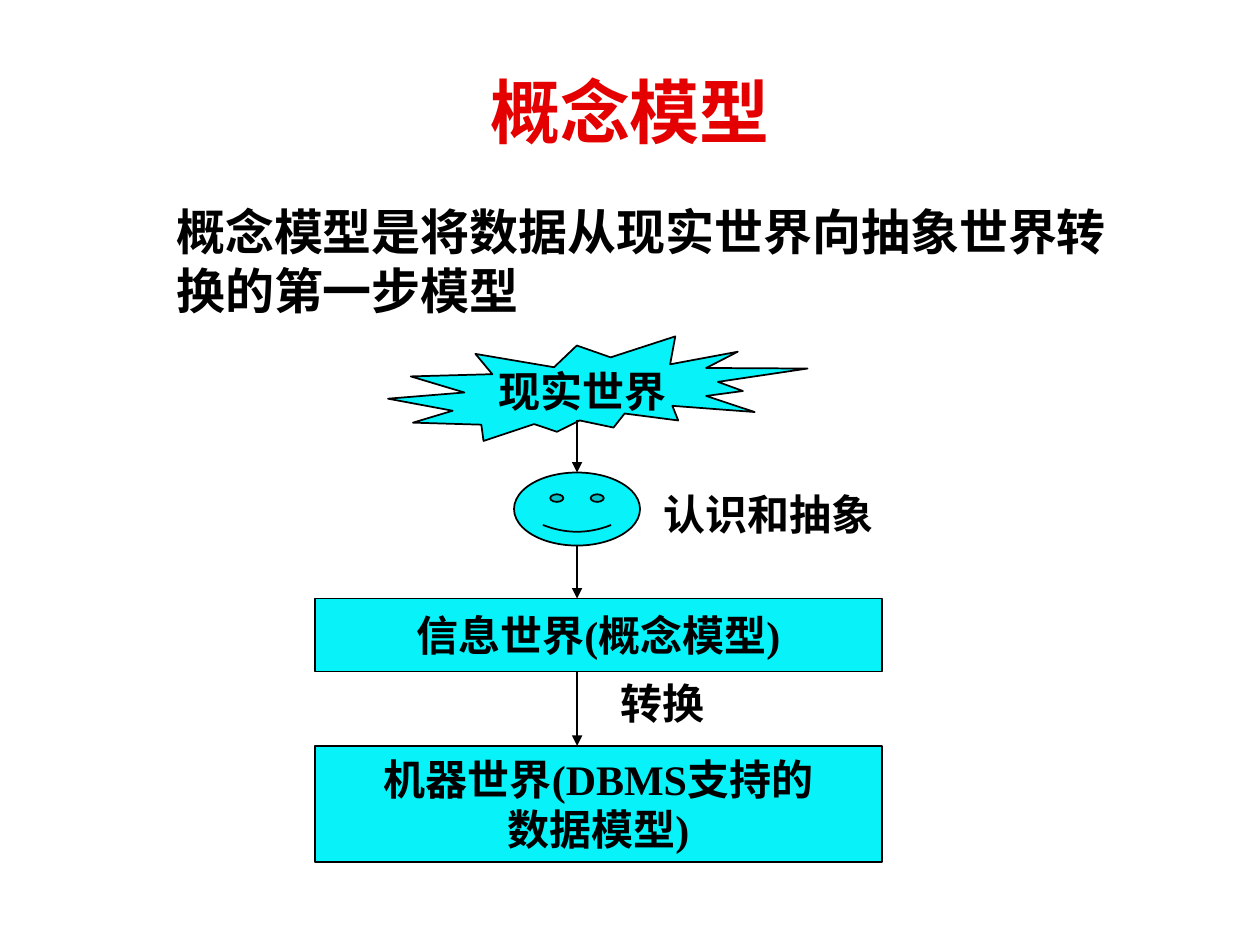
from pptx import Presentation
from pptx.dml.color import RGBColor
from pptx.enum.shapes import MSO_CONNECTOR as Connector, MSO_SHAPE as Preset
from pptx.enum.text import MSO_ANCHOR as Anchor, MSO_AUTO_SIZE as AutoSize, PP_ALIGN as Align
from pptx.oxml.ns import qn
from pptx.util import Inches, Pt
from lxml.etree import SubElement

COLORS = {"title": "E40000", "text": "000000", "fill": "07F3F9", "line": "000000"}
BODY = {"name": "Times New Roman", "size": Pt(28), "bold": True}
LABEL = {**BODY, "size": Pt(24)}
TITLE = {"name": "Arial", "size": Pt(40), "bold": True}
FRAME = {"vertical_anchor": Anchor.MIDDLE, "word_wrap": False}


def color(name):
    return RGBColor.from_string(COLORS[name])


def set_attributes(target, values):
    for name, value in values.items():
        setattr(target, name, value)


def write_text(shape, lines, font=LABEL, ink="text", align=Align.CENTER, **frame_values):
    frame = shape.text_frame
    set_attributes(frame, {**FRAME, **frame_values})
    for index, line in enumerate(lines):
        paragraph = frame.add_paragraph() if index else frame.paragraphs[0]
        paragraph.text = line
        paragraph.alignment = align
        set_attributes(paragraph.font, font)
        paragraph.font.color.rgb = color(ink)


def add_text(shapes, box, text, **values):
    textbox = shapes.add_textbox(*map(Inches, box))
    write_text(textbox, [text], **values)


def add_node(shapes, preset, box, lines=()):
    shape = shapes.add_shape(preset, *map(Inches, box))
    shape.shadow.inherit = False
    shape.fill.solid()
    shape.fill.fore_color.rgb = color("fill")
    shape.line.color.rgb = color("line")
    shape.line.width = Pt(1)
    write_text(shape, lines)


def add_arrow(shapes, x, top, bottom):
    arrow = shapes.add_connector(Connector.STRAIGHT, *map(Inches, (x, top, x, bottom)))
    arrow.line.color.rgb = color("line")
    arrow.line.width = Pt(1)
    SubElement(arrow.line._get_or_add_ln(), qn("a:tailEnd"), type="triangle")
    SubElement(arrow._element.spPr, qn("a:effectLst"))


def add_heading(slide, box):
    add_text(slide.shapes, box, "概念模型", font=TITLE, ink="title", word_wrap=True)


def add_definition(slide, box):
    add_text(slide.shapes, box, "概念模型是将数据从现实世界向抽象世界转换的第一步模型",
             font=BODY, align=Align.LEFT, word_wrap=True, auto_size=AutoSize.SHAPE_TO_FIT_TEXT)


def add_flow(slide, box):
    left, top, width, height = box
    shapes = slide.shapes.add_group_shape().shapes
    nodes = [
        (Preset.EXPLOSION2, 0.58, 0, 3.33, 0.83, ["现实世界"]),
        (Preset.SMILEY_FACE, 1.58, 1.08, 1, 0.58, []),
        (Preset.RECTANGLE, 0, 2.08, width, 0.58, ["信息世界(概念模型)"]),
        (Preset.RECTANGLE, 0, 3.25, width, height - 3.25, ["机器世界(DBMS支持的", "数据模型)"]),
    ]
    for preset, x, y, node_width, node_height, lines in nodes:
        add_node(shapes, preset, (left + x, top + y, node_width, node_height), lines)
    for start, end in [(0.66, 1.08), (1.66, 2.08), (2.66, 3.25)]:
        add_arrow(shapes, left + 2.08, top + start, top + end)
    for text, x, y, label_width in [("认识和抽象", 2.67, 1.16, 1.86), ("转换", 2.33, 2.66, 0.86)]:
        add_text(shapes, (left + x, top + y, label_width, 0.5), text,
                 margin_left=0, margin_right=0, auto_size=AutoSize.NONE)


def main():
    presentation = Presentation()
    presentation.slide_width = Inches(10)
    presentation.slide_height = Inches(7.5)
    slide = presentation.slides.add_slide(presentation.slide_layouts[6])
    add_heading(slide, (0.33, 0.25, 9.34, 1.25))
    add_definition(slide, (1.3, 1.55, 7.72, 1.04))
    add_flow(slide, (2.5, 2.67, 4.5, 4.17))
    presentation.save("out.pptx")


if __name__ == "__main__":
    main()
